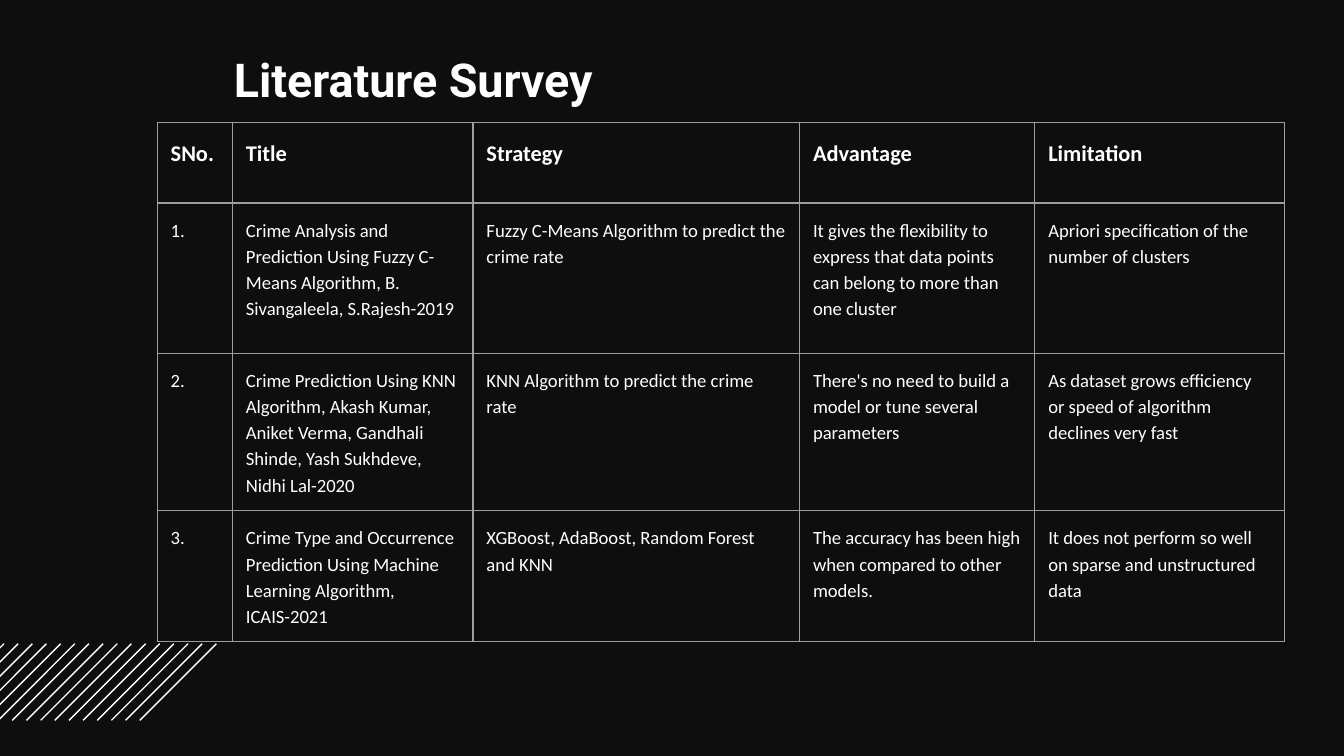
from lxml import etree
from pptx import Presentation
from pptx.dml.color import RGBColor
from pptx.enum.shapes import MSO_CONNECTOR
from pptx.enum.text import MSO_ANCHOR, PP_ALIGN
from pptx.oxml.ns import qn
from pptx.util import Inches, Pt

BLACK = RGBColor(0x0E, 0x0E, 0x0E)
WHITE = RGBColor(0xFF, 0xFF, 0xFF)
GREY = RGBColor(0x9E, 0x9E, 0x9E)

COL_WIDTHS = [0.56, 1.79, 2.43, 1.75, 1.86]
ROW_HEIGHTS = [0.6, 1.12, 1.13, 0.78]
SURVEY = [
    ["SNo.", "Title", "Strategy", "Advantage", "Limitation"],
    ["1.",
     "Crime Analysis and Prediction Using Fuzzy C-Means Algorithm, B. Sivangaleela, S.Rajesh-2019",
     "Fuzzy C-Means Algorithm to predict the crime rate",
     "It gives the flexibility to express that data points can belong to more than one cluster",
     "Apriori specification of the number of clusters"],
    ["2.",
     "Crime Prediction Using KNN Algorithm, Akash Kumar, Aniket Verma, Gandhali Shinde, "
     "Yash Sukhdeve, Nidhi Lal-2020",
     "KNN Algorithm to predict the crime rate",
     "There's no need to build a model or tune several parameters",
     "As dataset grows efficiency or speed of algorithm declines very fast"],
    ["3.",
     "Crime Type and Occurrence Prediction Using Machine Learning Algorithm, ICAIS-2021",
     "XGBoost, AdaBoost, Random Forest and KNN",
     "The accuracy has been high when compared to other models.",
     "It does not perform so well on sparse and unstructured data"],
]


def add_run(p, text, font, size, bold):
    r = p.add_run()
    r.text = text
    r.font.name = font
    r.font.size = Pt(size)
    r.font.bold = bold
    r.font.color.rgb = WHITE


def set_margins(box):
    box.margin_left = box.margin_right = Inches(0.1)
    box.margin_top = box.margin_bottom = Inches(0.1)


def add_title(s, x, y, w, h, text):
    sp = s.shapes.title
    sp.left, sp.top, sp.width, sp.height = (Inches(v) for v in (x, y, w, h))
    tf = sp.text_frame
    tf.word_wrap = True
    tf.vertical_anchor = MSO_ANCHOR.TOP
    set_margins(tf)
    p = tf.paragraphs[0]
    p.alignment = PP_ALIGN.LEFT
    add_run(p, text, "Roboto", 25, True)


def add_stripes(s, x, y, w, h, count=16):
    """Diagonal lines, the rightmost one ending at the box's top right corner."""
    step = (w - h) / (count - 1)
    for i in range(count):
        bottom = x + i * step
        line = s.shapes.add_connector(
            MSO_CONNECTOR.STRAIGHT, Inches(bottom + h), Inches(y),
            Inches(bottom), Inches(y + h))
        line.line.color.rgb = WHITE
        line.line.width = Pt(0.75)
        etree.SubElement(line._element.spPr, qn("a:effectLst"))


def set_borders(cell):
    """Thin grey lines on all four sides; they go before the cell's fill."""
    tc_pr = cell._tc.get_or_add_tcPr()
    for i, side in enumerate(("a:lnL", "a:lnR", "a:lnT", "a:lnB")):
        ln = etree.Element(qn(side), w=str(Pt(0.75)))
        fill = etree.SubElement(ln, qn("a:solidFill"))
        etree.SubElement(fill, qn("a:srgbClr"), val=str(GREY))
        tc_pr.insert(i, ln)


def add_survey_table(s, x, y, w, h):
    table = s.shapes.add_table(len(SURVEY), len(COL_WIDTHS), Inches(x), Inches(y),
                               Inches(w), Inches(h)).table
    table.horz_banding = False
    for col, width in zip(table.columns, COL_WIDTHS):
        col.width = Inches(width)
    # Rows grow to fit their text
    for row, height in zip(table.rows, ROW_HEIGHTS):
        row.height = Inches(height)
    for i, texts in enumerate(SURVEY):
        for j, text in enumerate(texts):
            cell = table.cell(i, j)
            cell.fill.background()
            set_borders(cell)
            set_margins(cell)
            p = cell.text_frame.paragraphs[0]
            p.line_spacing = 1.15
            add_run(p, text, "Calibri", 12 if i == 0 else 10, i == 0)


def main():
    prs = Presentation()
    # 16:9 page
    prs.slide_width = Inches(10)
    prs.slide_height = Inches(10 * 9 / 16)
    s = prs.slides.add_slide(prs.slide_layouts[5])
    s.background.fill.solid()
    s.background.fill.fore_color.rgb = BLACK

    add_stripes(s, -0.54, 4.79, 2.15, 0.57)
    add_survey_table(s, 1.17, 0.91, 8.39, 3.83)
    add_title(s, 1.64, 0.28, 6.97, 0.62, "Literature Survey")
    prs.save("out.pptx")


if __name__ == "__main__":
    main()
